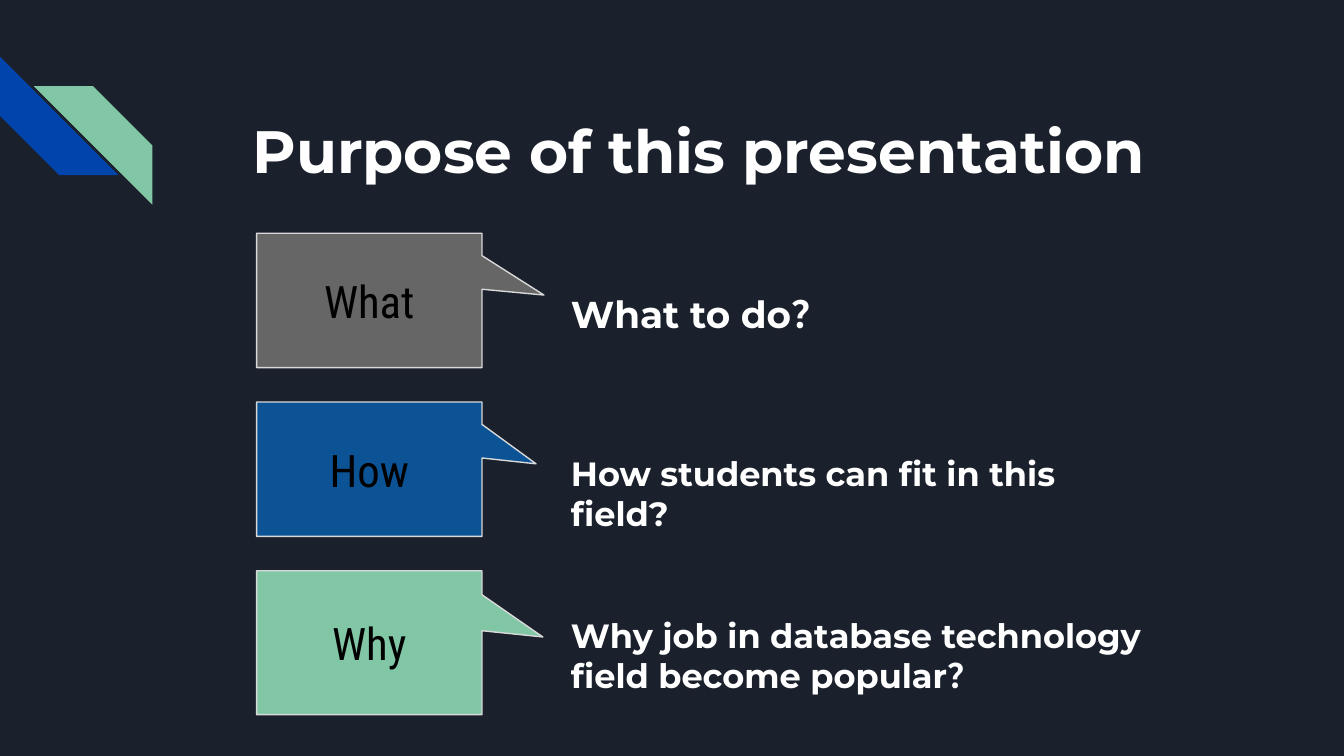
"""Build the slide on the purpose of the presentation: three callouts with their questions."""
from pptx import Presentation
from pptx.dml.color import RGBColor
from pptx.enum.shapes import MSO_SHAPE as Shape
from pptx.enum.text import MSO_ANCHOR as Anchor, MSO_AUTO_SIZE as Fit, PP_ALIGN as Align
from pptx.util import Cm, Pt

COLORS = {"bg": "1B212C", "blue": "0145AC", "green": "82C7A5", "navy": "0B5394",
          "gray": "666666", "edge": "D9D9D9", "white": "FFFFFF", "black": "000000"}
TITLE = "Purpose of this presentation"
ROWS = [
    {"label": "What", "fill": "gray", "height": 2.54, "tip": (0.775, -0.04),
     "text": "What to do？", "size": 20, "box": (6.6, 1.09)},
    {"label": "How", "fill": "navy", "height": 2.54, "tip": (0.74, -0.04),
     "text": "How students can fit in this field?", "size": 18, "box": (11.58, 1.09)},
    {"label": "Why", "fill": "green", "height": 2.72, "tip": (0.77, -0.04),
     "text": "Why job in database technology field become popular？", "size": 18,
     "box": (11.58, 1.6)},
]
HEADING = {"name": "Montserrat", "bold": True}
LABEL = {"name": "Roboto Condensed", "size": Pt(24), "bold": False}
FRAME = {"word_wrap": True, "auto_size": Fit.NONE, **{
    f"margin_{side}": Cm(0.25) for side in ("left", "top", "right", "bottom")}}
CALLOUT_LEFT, CALLOUT_TOP, CALLOUT_WIDTH, CALLOUT_PITCH = 4.85, 4.41, 4.26, 3.19
TEXT_LEFT, TEXT_TOP, TEXT_PITCH = 10.54, 5.25, 3.06
STRIPE = 2.24


def rgb(name):
    """Return the named colour."""
    return RGBColor.from_string(COLORS[name])


def apply(target, values):
    """Set each attribute of the target."""
    for key, value in values.items():
        setattr(target, key, value)


def write(sp, text, font, color, anchor=Anchor.TOP, align=Align.LEFT):
    """Put one formatted paragraph in a shape and return it."""
    tf = sp.text_frame
    apply(tf, {**FRAME, "vertical_anchor": anchor})
    p = tf.paragraphs[0]
    p.alignment = align
    r = p.add_run()
    r.text = text
    apply(r.font, font)
    r.font.color.rgb = rgb(color)
    return p


def add_filled(s, kind, box, color):
    """Add a flat preset shape without an outline."""
    sp = s.shapes.add_shape(kind, *map(Cm, box))
    sp.shadow.inherit = False
    sp.fill.solid()
    sp.fill.fore_color.rgb = rgb(color)
    sp.line.fill.background()
    return sp


def add_row(s, i, row):
    """Add a callout and the question beside it."""
    box = (CALLOUT_LEFT, CALLOUT_TOP + i * CALLOUT_PITCH, CALLOUT_WIDTH, row["height"])
    sp = add_filled(s, Shape.RECTANGULAR_CALLOUT, box, row["fill"])
    sp.adjustments[0], sp.adjustments[1] = row["tip"]
    sp.line.color.rgb = rgb("edge")
    sp.line.width = Pt(0.75)
    write(sp, row["label"], LABEL, "black", Anchor.MIDDLE, Align.CENTER)
    box = (TEXT_LEFT, TEXT_TOP + i * TEXT_PITCH, *row["box"])
    sp = s.shapes.add_textbox(*map(Cm, box))
    write(sp, row["text"], {**HEADING, "size": Pt(row["size"])}, "white")


def main():
    """Create and save the presentation."""
    prs = Presentation()
    apply(prs, {"slide_width": Cm(25.4), "slide_height": Cm(14.29)})
    s = prs.slides.add_slide(prs.slide_layouts[5])
    s.background.fill.solid()
    s.background.fill.fore_color.rgb = rgb("bg")

    add_filled(s, Shape.DIAGONAL_STRIPE, (0, 1.07, STRIPE, STRIPE), "blue").rotation = 270
    sp = add_filled(s, Shape.DIAGONAL_STRIPE, (0.64, 1.63, STRIPE, STRIPE), "green")
    sp.element.spPr.xfrm.set("flipH", "1")

    title = s.shapes.title
    apply(title, {"left": Cm(3.25), "top": Cm(1.9), "width": Cm(18.87), "height": Cm(1.52)})
    p = write(title, TITLE, {**HEADING, "size": Pt(32)}, "white")
    pPr = p._p.get_or_add_pPr()
    pPr.set("marL", str(Cm(1.27)))
    pPr.set("indent", "0")

    for i, row in enumerate(ROWS):
        add_row(s, i, row)
    prs.save("out.pptx")


if __name__ == "__main__":
    main()
